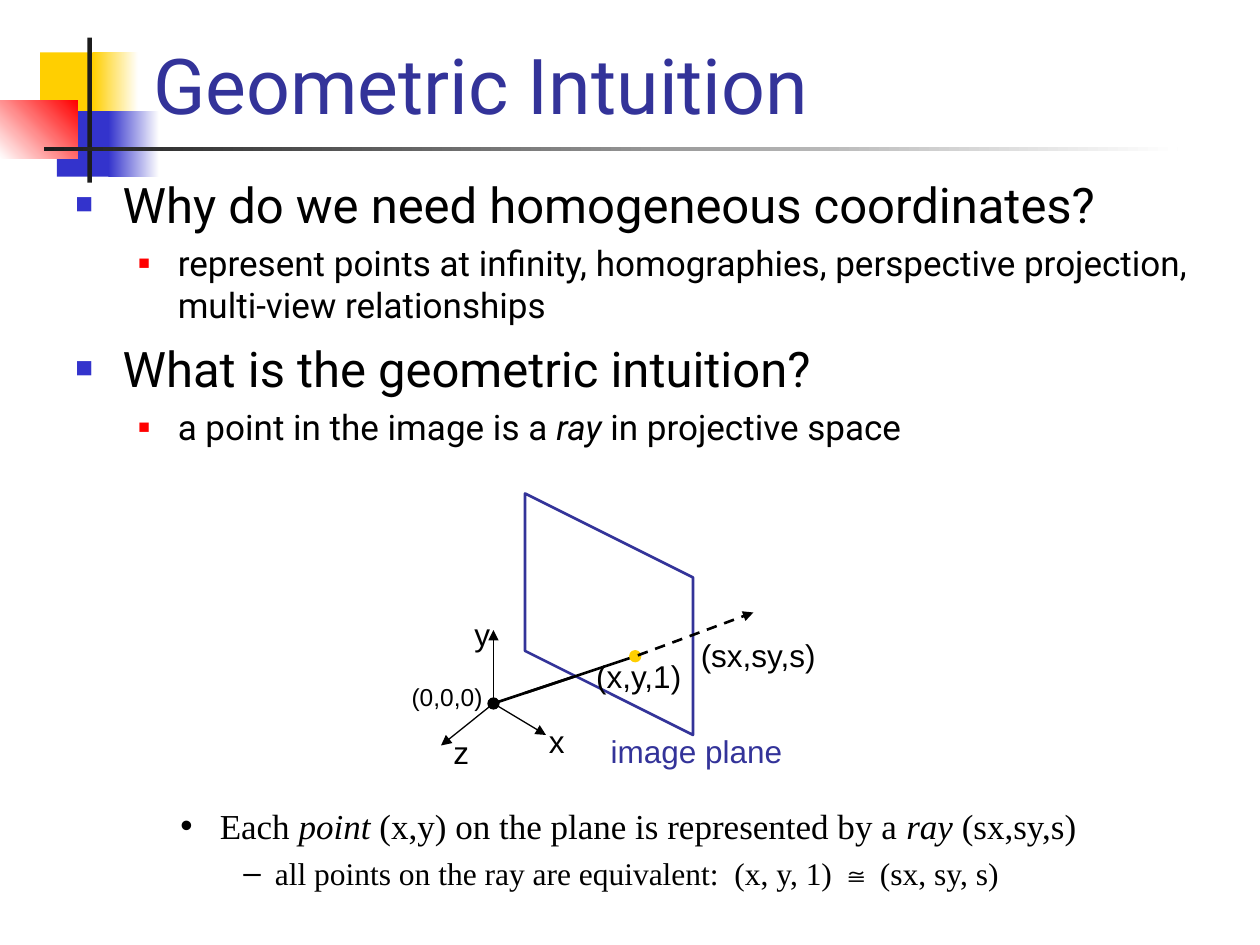
import pptx
import pptx.util
import pptx.dml.color
import pptx.enum.dml
import pptx.enum.shapes
import pptx.enum.text
import pptx.oxml
import pptx.oxml.ns
from lxml import etree

Pt = pptx.util.Pt
SHAPE = pptx.enum.shapes.MSO_SHAPE
ANCHOR = pptx.enum.text.MSO_ANCHOR
ALIGN = pptx.enum.text.PP_ALIGN
BLACK, NAVY, YELLOW, BLUE = "000000", "333399", "FFCF01", "3333CC"
RED, WHITE, DARK = "FF0000", "FFFFFF", "1C1C1C"


def color(hex_string):
    return pptx.dml.color.RGBColor.from_string(hex_string)


def sub(parent, tag, **attrs):
    el = etree.SubElement(parent, pptx.oxml.ns.qn(tag))
    for name, value in attrs.items():
        el.set(name, str(value))
    return el


def add_runs(p, runs, size, font="Arial", fill=BLACK):
    """Each run is a string or a pair of a string and its own format."""
    for run in runs:
        text, own = (run, {}) if isinstance(run, str) else run
        r = p.add_run()
        r.text = text
        r.font.size = Pt(size)
        r.font.name = own.get("font", font)
        r.font.italic = own.get("italic", False)
        r.font.color.rgb = color(fill)


def add_text(s, box, text="", size=18, font="Arial", fill=BLACK, wrap=True,
             grow=False, anchor=ANCHOR.TOP, align=ALIGN.LEFT):
    sp = s.shapes.add_textbox(*map(Pt, box))
    tf = sp.text_frame
    tf.word_wrap = wrap
    tf.vertical_anchor = anchor
    if grow:
        tf.auto_size = pptx.enum.text.MSO_AUTO_SIZE.SHAPE_TO_FIT_TEXT
    if text:
        tf.paragraphs[0].alignment = align
        add_runs(tf.paragraphs[0], [text], size, font, fill)
    return tf


def add_bullets(s, box, font, levels, items):
    """Items are (level, runs); levels hold the format of each level."""
    tf = add_text(s, box)
    for i, (level, runs) in enumerate(items):
        fmt = levels[level]
        p = tf.add_paragraph() if i else tf.paragraphs[0]
        p.level = level
        p.space_before = Pt(fmt["before"] if i else 0)
        pPr = p._p.get_or_add_pPr()
        pPr.set("marL", str(Pt(fmt["left"])))
        pPr.set("indent", str(-Pt(fmt["hang"])))
        sub(sub(pPr, "a:buClr"), "a:srgbClr", val=fmt["color"])
        sub(pPr, "a:buSzPct", val=fmt.get("scale", 100) * 1000)
        sub(pPr, "a:buFont", typeface="Arial")
        sub(pPr, "a:buChar", char=fmt["char"])
        add_runs(p, runs, fmt["size"], font)


def add_shape(s, kind, box, fill, line=None, to=None, angle=0):
    """Solid shape, or a gradient from fill to the color in to."""
    sp = s.shapes.add_shape(kind, *map(Pt, box))
    sp.shadow.inherit = False
    if to:
        sp.fill.gradient()
        sp.fill.gradient_angle = angle
        for stop, c, pos in zip(sp.fill.gradient_stops, (fill, to), (0, 1)):
            stop.color.rgb = color(c)
            stop.position = pos
    else:
        sp.fill.solid()
        sp.fill.fore_color.rgb = color(fill)
    if line:
        sp.line.color.rgb = color(line)
        sp.line.width = Pt(1)
    else:
        sp.line.fill.background()
    return sp


def add_line(s, start, end, width, arrow=False, dash=False):
    cx = s.shapes.add_connector(pptx.enum.shapes.MSO_CONNECTOR.STRAIGHT,
                                *map(Pt, (*start, *end)))
    cx.line.color.rgb = color(BLACK)
    cx.line.width = Pt(width)
    if dash:
        cx.line.dash_style = pptx.enum.dml.MSO_LINE.DASH
    if arrow:
        sub(cx.line._get_or_add_ln(), "a:tailEnd", type="triangle")
    sub(cx._element.spPr, "a:effectLst")


def add_decoration(s, left, top):
    parts = [
        ((23, 8.5, 34.5, 37.5), YELLOW, None, 0),
        ((53, 8.5, 26, 37.5), YELLOW, WHITE, 0),
        ((32.5, 42, 33, 37.5), BLUE, None, 0),
        ((62, 42, 29, 37.5), BLUE, WHITE, 0),
        ((0, 36, 44.5, 33), WHITE, RED, 45),
        ((50, 0, 2.5, 83), DARK, None, 0),
        ((25, 62.5, 648, 2.5), DARK, WHITE, 0),
    ]
    for (x, y, w, h), fill, to, angle in parts:
        add_shape(s, SHAPE.RECTANGLE, (left + x, top + y, w, h), fill,
                  to=to, angle=angle)


def add_projection(s, left, top):
    def at(x, y):
        return left + x, top + y

    def label(text, x, y, w, h=29, **fmt):
        add_text(s, (*at(x, y), w, h), text, grow=True,
                 **{"wrap": False, **fmt})

    def dot(x, y, fill):
        add_shape(s, SHAPE.OVAL, (*at(x - 3, y - 3), 6, 6), fill, line=fill)

    origin, point = (54, 120), (135, 93)
    centred = {"anchor": ANCHOR.MIDDLE, "align": ALIGN.CENTER}

    # Axes and the part of the ray behind the plane
    for tip in ((54, 78), (84, 138), (24, 144)):
        add_line(s, at(*origin), at(*tip), 0.75, arrow=True)
    add_line(s, at(*origin), at(162, 84), 1.5)
    label("(0,0,0)", 0, 104, 55, 24, size=14, **centred)
    dot(*origin, BLACK)
    label("(sx,sy,s)", 164.5, 78, 81.5, **centred)

    # Image plane
    label("image plane", 112, 132.5, 116, fill=NAVY, **centred)
    corners = [tuple(map(Pt, at(*c)))
               for c in ((72, 0), (72, 90), (168, 138), (168, 48))]
    fb = s.shapes.build_freeform(*corners[0])
    fb.add_line_segments(corners[1:], close=True)
    plane = fb.convert_to_shape()
    plane.shadow.inherit = False
    plane.fill.solid()
    plane.fill.fore_color.rgb = color(WHITE)
    plane.line.color.rgb = color(NAVY)
    plane.line.width = Pt(1.5)

    # Ray in front of the plane, and the point it meets
    add_line(s, at(72, 114), at(*point), 1.5)
    label("(x,y,1)", 104.5, 90, 65, wrap=True, **centred)
    dot(*point, YELLOW)

    # Axis names and the ray beyond the plane
    for name, x, y in (("y", 36, 66), ("x", 78.5, 127), ("z", 24, 133.5)):
        label(name, x, y, 23)
    add_line(s, at(136.5, 92.5), at(202.5, 68), 1.5, arrow=True, dash=True)


def add_questions(s, box):
    levels = [
        dict(size=28, left=27, hang=27, before=7, char="■", color=BLUE,
             scale=60),
        dict(size=20, left=58.5, hang=22.5, before=5, char="■", color=RED,
             scale=55),
    ]
    add_bullets(s, box, "Roboto", levels, [
        (0, ["Why do we need homogeneous coordinates?"]),
        (1, ["represent points at infinity, homographies, perspective "
             "projection, multi-view relationships"]),
        (0, ["What is the geometric intuition?"]),
        (1, ["a point in the image is a ", ("ray", {"italic": True}),
             " in projective space"]),
    ])


def add_conclusion(s, box):
    levels = {
        1: dict(size=20, left=58.5, hang=22.5, before=5, char="•",
                color=BLACK),
        2: dict(size=18, left=90, hang=18, before=4.5, char="–",
                color=BLACK),
    }
    add_bullets(s, box, "Times New Roman", levels, [
        (1, ["Each ", ("point", {"italic": True}),
             " (x,y) on the plane is represented by a ",
             ("ray", {"italic": True}), " (sx,sy,s)"]),
        (2, ["all points on the ray are equivalent:  (x, y, 1) ",
             ("≅", {"font": "Arial"}), " (sx, sy, s)"]),
    ])


def main():
    prs = pptx.Presentation()
    prs.slide_width, prs.slide_height = Pt(720), Pt(540)
    s = prs.slides.add_slide(prs.slide_layouts[6])
    add_decoration(s, 0, 21.5)
    add_text(s, (80.5, 12, 527, 65.5), "Geometric Intuition", size=44,
             font="Roboto", fill=NAVY, anchor=ANCHOR.BOTTOM)
    add_questions(s, (36, 96, 669, 193))
    add_conclusion(s, (60, 456, 612, 66))
    add_projection(s, 228, 282)
    prs.save("out.pptx")


if __name__ == "__main__":
    main()
